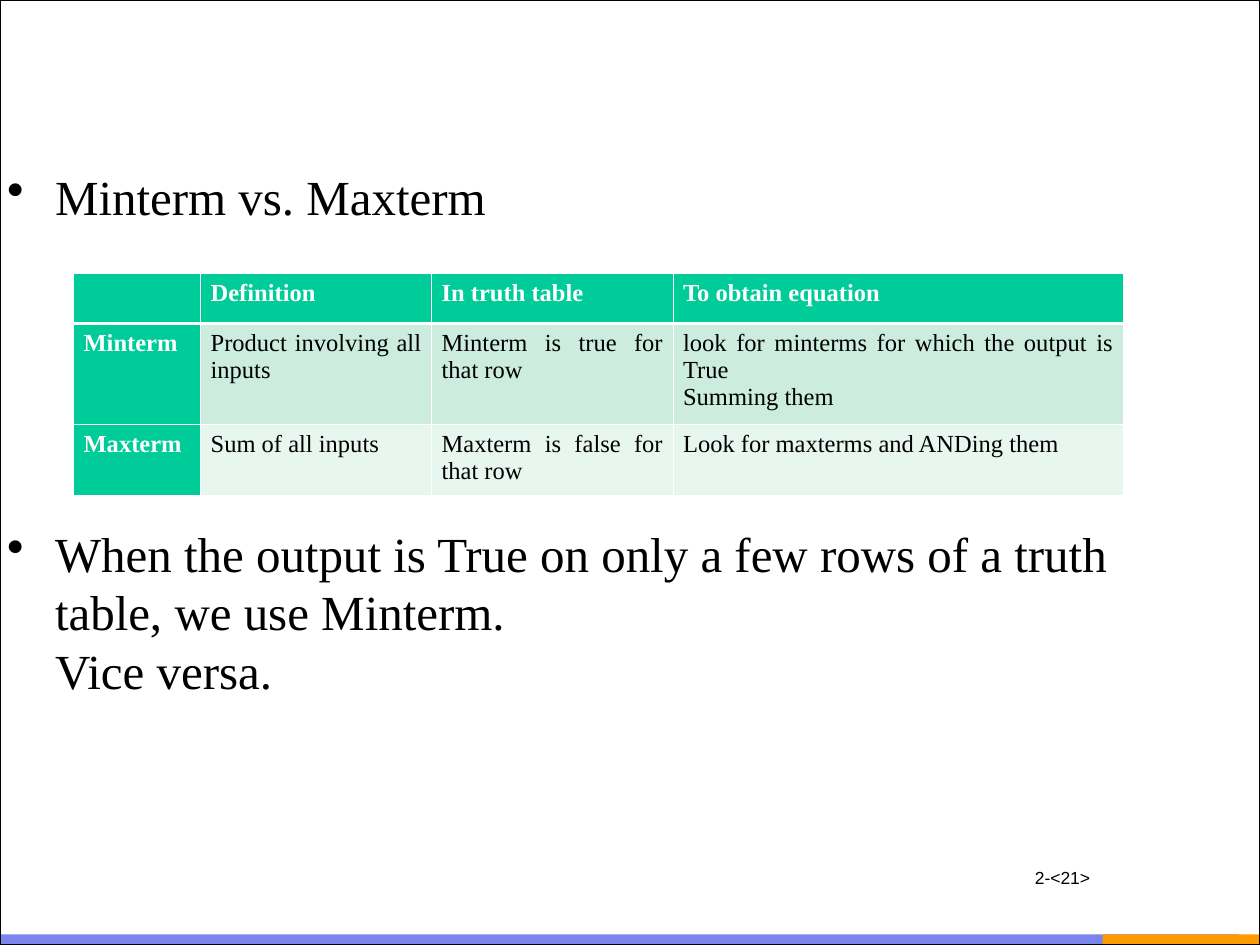
from dataclasses import dataclass

from lxml import etree
from pptx import Presentation
from pptx.dml.color import RGBColor
from pptx.enum.shapes import MSO_SHAPE
from pptx.enum.text import PP_ALIGN
from pptx.oxml.ns import qn
from pptx.util import Inches, Pt

RECTANGLE = MSO_SHAPE.RECTANGLE
LEFT, RIGHT, JUSTIFY = PP_ALIGN.LEFT, PP_ALIGN.RIGHT, PP_ALIGN.JUSTIFY
COLUMNS, ROWS = 120, 90


@dataclass(frozen=True)
class Theme:
    """Colours, fonts and type sizes of the slide."""
    black: str = "000000"
    white: str = "FFFFFF"
    blue: str = "7984ED"
    orange: str = "FF9900"
    green: str = "00CC99"
    bands: tuple = ("CBECDE", "E7F6EF")
    serif: str = "Times New Roman"
    sans: str = "Arial"
    body_size: float = 28
    body_leading: float = 33.4
    table_size: float = 14
    number_size: float = 10
    thin: float = 0.45
    thick: float = 1.47
    frame: float = 0.75


class SlideBuilder:
    """Draws styled elements on one slide, placed in grid columns and rows."""

    def __init__(self, presentation, theme):
        """Add a blank slide and work out the grid."""
        self.theme = theme
        self.slide = presentation.slides.add_slide(presentation.slide_layouts[6])
        self.column = presentation.slide_width / COLUMNS
        self.row = presentation.slide_height / ROWS

    def place(self, left, top, width, height):
        """Turn grid units into slide lengths."""
        return (round(left * self.column), round(top * self.row),
                round(width * self.column), round(height * self.row))

    def add_run(self, paragraph, text, size, font, color, bold=False):
        """Add one styled run."""
        run = paragraph.add_run()
        run.text = text
        run.font.size = Pt(size)
        run.font.name = font
        run.font.bold = bold
        run.font.color.rgb = RGBColor.from_string(color)

    def rectangle(self, box, fill=None, line=None):
        """Add a plain rectangle, filled or outlined."""
        shape = self.slide.shapes.add_shape(RECTANGLE, *self.place(*box))
        shape.shadow.inherit = False
        if fill:
            shape.fill.solid()
            shape.fill.fore_color.rgb = RGBColor.from_string(fill)
        else:
            shape.fill.background()
        if line:
            shape.line.color.rgb = RGBColor.from_string(line)
            shape.line.width = Pt(self.theme.frame)
        else:
            shape.line.fill.background()

    def text_frame(self, box):
        """Add a wrapping text box and return its frame."""
        frame = self.slide.shapes.add_textbox(*self.place(*box)).text_frame
        frame.word_wrap = True
        return frame

    def bullets(self, box, items, gap):
        """Add bulleted items, each a list of lines, set apart by a gap in points."""
        theme = self.theme
        frame = self.text_frame(box)
        for index, lines in enumerate(items):
            paragraph = frame.add_paragraph() if index else frame.paragraphs[0]
            properties = paragraph._p.get_or_add_pPr()
            properties.set("marL", str(Inches(0.38)))
            properties.set("indent", str(-Inches(0.38)))
            color = etree.SubElement(properties, qn("a:buClr"))
            etree.SubElement(color, qn("a:srgbClr"), val=theme.black)
            etree.SubElement(properties, qn("a:buChar"), char="•")
            paragraph.alignment = LEFT
            paragraph.line_spacing = Pt(theme.body_leading)
            if index:
                paragraph.space_before = Pt(gap)
            for number, line in enumerate(lines):
                if number:
                    paragraph.add_line_break()
                self.add_run(paragraph, line, theme.body_size, theme.serif, theme.black)

    def page_number(self, box, text):
        """Add the right-aligned page number."""
        paragraph = self.text_frame(box).paragraphs[0]
        paragraph.alignment = RIGHT
        self.add_run(paragraph, text, self.theme.number_size, self.theme.sans, self.theme.black)

    def borders(self, cell, widths):
        """Give a cell white borders, with a width in points for each side."""
        properties = cell._tc.get_or_add_tcPr()
        for index, (side, width) in enumerate(widths.items()):
            line = etree.Element(qn(f"a:ln{side}"), w=str(Pt(width)))
            fill = etree.SubElement(line, qn("a:solidFill"))
            etree.SubElement(fill, qn("a:srgbClr"), val=self.theme.white)
            properties.insert(index, line)

    def table_cell(self, cell, lines, row, column):
        """Style one cell as a heading or as part of a colour band."""
        theme = self.theme
        heading = row == 0 or column == 0
        cell.margin_left = cell.margin_right = Inches(0.08)
        cell.margin_top = cell.margin_bottom = Inches(0.05)
        cell.fill.solid()
        fill = theme.green if heading else theme.bands[row - 1]
        cell.fill.fore_color.rgb = RGBColor.from_string(fill)
        self.borders(cell, {"L": theme.thin, "R": theme.thin,
                            "T": theme.thick if row == 1 else theme.thin,
                            "B": theme.thick if row == 0 else theme.thin})
        frame = cell.text_frame
        for index, line in enumerate(lines):
            paragraph = frame.add_paragraph() if index else frame.paragraphs[0]
            paragraph.alignment = JUSTIFY
            self.add_run(paragraph, line, theme.table_size, theme.serif,
                         theme.white if heading else theme.black, heading)

    def table(self, left, top, widths, heights, content):
        """Add a table with a heading row and a heading column."""
        box = self.place(left, top, sum(widths), sum(heights))
        table = self.slide.shapes.add_table(len(heights), len(widths), *box).table
        table.first_col = True
        for column, width in zip(table.columns, widths):
            column.width = round(width * self.column)
        for row, height in zip(table.rows, heights):
            row.height = round(height * self.row)
        for row, texts in enumerate(content):
            for column, text in enumerate(texts):
                self.table_cell(table.cell(row, column), text.split("\n"), row, column)


def main():
    """Build the minterm and maxterm slide."""
    theme = Theme()
    presentation = Presentation()
    presentation.slide_width, presentation.slide_height = Inches(10), Inches(7.5)
    builder = SlideBuilder(presentation, theme)

    builder.rectangle((0, 89, 118, 1), fill=theme.blue)
    builder.rectangle((105, 89, 15, 1), fill=theme.orange)
    builder.rectangle((0, 0, COLUMNS, ROWS), line=theme.black)
    builder.bullets((-0.5, 15.3, 114.75, 65), [
        ["Minterm vs. Maxterm"],
        ["When the output is True on only a few rows of a truth table, we use Minterm.",
         "Vice versa."],
    ], gap=170.6)
    builder.page_number((80, 82, 25, 6), "2-<21>")
    builder.table(7, 26, (12.1, 22, 23, 42.9), (4.3, 8.4, 6), [
        ("", "Definition", "In truth table", "To obtain equation"),
        ("Minterm", "Product involving all inputs", "Minterm is true for that row",
         "look for minterms for which the output is True\nSumming them"),
        ("Maxterm", "Sum of all inputs", "Maxterm is false for that row",
         "Look for maxterms and ANDing them"),
    ])
    presentation.save("out.pptx")


if __name__ == "__main__":
    main()
